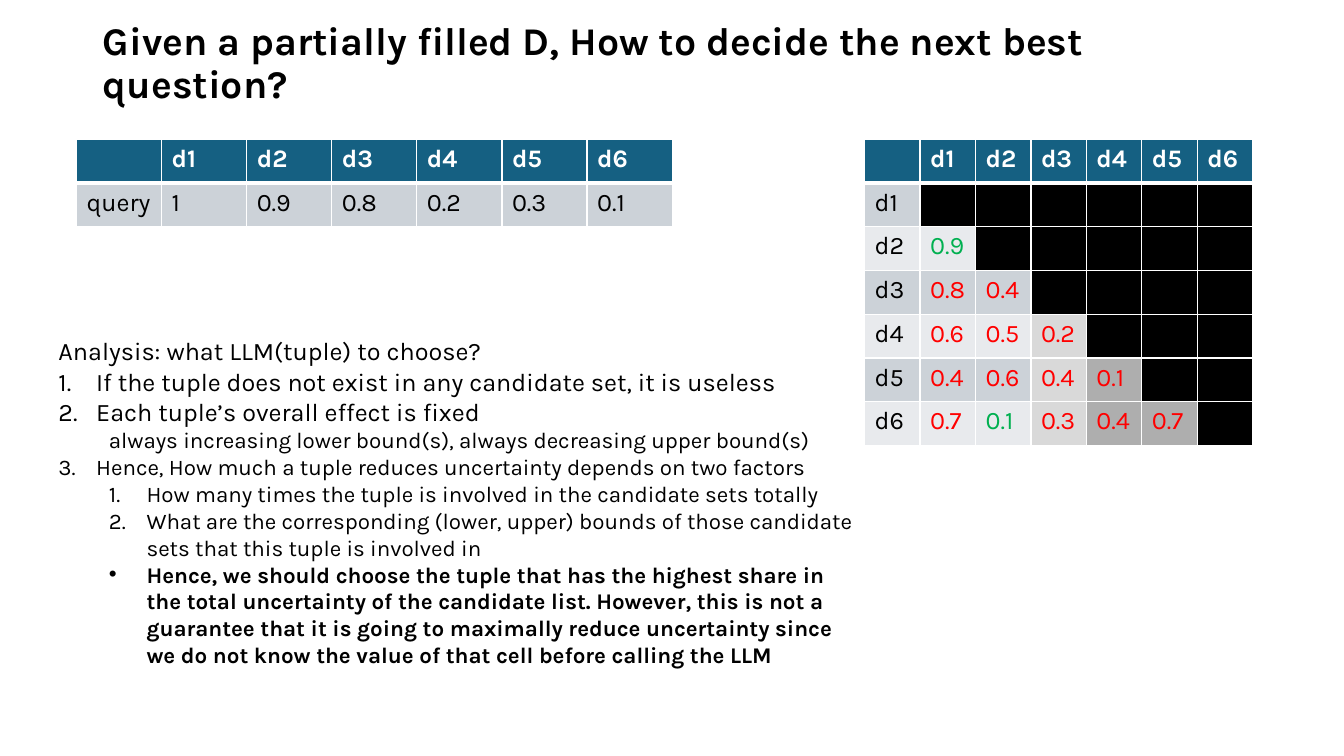
from lxml import etree
from pptx import Presentation
from pptx.dml.color import RGBColor
from pptx.enum.text import MSO_ANCHOR, MSO_AUTO_SIZE, PP_ALIGN
from pptx.oxml.ns import qn
from pptx.util import Cm, Pt

LEFT = PP_ALIGN.LEFT
TOP = MSO_ANCHOR.TOP
GROW = MSO_AUTO_SIZE.SHAPE_TO_FIT_TEXT
FIXED = MSO_AUTO_SIZE.NONE
FONT = "Karla"
COLORS = {
    "white": "FFFFFF", "black": "000000", "header": "156082",
    "band_dark": "CCD2D8", "band_light": "E8EAED",
    "grey_light": "D9D9D9", "grey_dark": "AEAEAE",
    "green": "00B050", "red": "FF0000",
}
DOCS = ["d1", "d2", "d3", "d4", "d5", "d6"]
QUERY_SCORES = ["1", "0.9", "0.8", "0.2", "0.3", "0.1"]
PAIR_SCORES = [
    [],
    ["0.9"],
    ["0.8", "0.4"],
    ["0.6", "0.5", "0.2"],
    ["0.4", "0.6", "0.4", "0.1"],
    ["0.7", "0.1", "0.3", "0.4", "0.7"],
]
KNOWN_PAIRS = {(2, 1), (6, 2)}
ANALYSIS = [
    ("Analysis: what LLM(tuple) to choose?", 0, 18, None),
    ("If the tuple does not exist in any candidate set, it is useless", 0, 18, "number"),
    ("Each tuple’s overall effect is fixed", 0, 18, "number"),
    ("always increasing lower bound(s), always decreasing upper bound(s)", 1, 16, None),
    ("Hence, How much a tuple reduces uncertainty depends on two factors", 0, 16, "number"),
    ("How many times the tuple is involved in the candidate sets totally", 1, 16, "number"),
    ("What are the corresponding (lower, upper) bounds of those candidate sets "
     "that this tuple is involved in", 1, 16, "number"),
    ("Hence, we should choose the tuple that has the highest share in the total "
     "uncertainty of the candidate list. However, this is not a guarantee that it is "
     "going to maximally reduce uncertainty since we do not know the value of that "
     "cell before calling the LLM", 1, 16, "bullet"),
]


def rgb(name):
    """Return the named colour."""
    return RGBColor.from_string(COLORS[name])


def add_run(p, text, size, color="black", bold=False):
    """Add a formatted run to a paragraph."""
    r = p.add_run()
    r.text = text
    r.font.name = FONT
    r.font.size = Pt(size)
    r.font.bold = bold
    r.font.color.rgb = rgb(color)


def place(sp, box):
    """Move a shape to a box given in centimetres."""
    sp.left, sp.top, sp.width, sp.height = (Cm(v) for v in box)


def set_borders(cell, row):
    """Draw white cell borders, thick below the header row."""
    tcPr = cell._tc.get_or_add_tcPr()
    widths = {"lnL": 1, "lnR": 1, "lnT": 3 if row == 1 else 1, "lnB": 3 if row == 0 else 1}
    for tag, width in widths.items():
        ln = etree.SubElement(tcPr, qn("a:" + tag), w=str(Pt(width)))
        fill = etree.SubElement(ln, qn("a:solidFill"))
        etree.SubElement(fill, qn("a:srgbClr"), val=COLORS["white"])


def set_marker(p, level, marker):
    """Give a paragraph its indent and its number or bullet."""
    pPr = p._p.get_or_add_pPr()
    hang = Cm(0.95) if marker else 0
    pPr.set("marL", str(Cm(1.27 * level) + hang))
    pPr.set("indent", str(-hang))
    if marker == "number":
        etree.SubElement(pPr, qn("a:buFont"), typeface=FONT)
        etree.SubElement(pPr, qn("a:buAutoNum"), type="arabicPeriod")
    elif marker == "bullet":
        etree.SubElement(pPr, qn("a:buFont"), typeface="Arial")
        etree.SubElement(pPr, qn("a:buChar"), char="•")
    else:
        etree.SubElement(pPr, qn("a:buNone"))


def add_title(sp, box):
    """Fill the title placeholder."""
    place(sp, box)
    tf = sp.text_frame
    tf.word_wrap = True
    tf.auto_size = FIXED
    tf.vertical_anchor = TOP
    p = tf.paragraphs[0]
    p.alignment = LEFT
    p.line_spacing = 0.9
    p.space_before = Pt(10)
    add_run(p, "Given a partially filled D, How to decide the next best question?", 28, bold=True)


def add_analysis(sp, box):
    """Fill the body placeholder with the numbered analysis."""
    place(sp, box)
    tf = sp.text_frame
    tf.word_wrap = True
    tf.auto_size = GROW
    tf.vertical_anchor = TOP
    for i, (text, level, size, marker) in enumerate(ANALYSIS):
        p = tf.add_paragraph() if i else tf.paragraphs[0]
        p.level = level
        p.alignment = LEFT
        p.line_spacing = 1.0
        p.space_before = p.space_after = Pt(0)
        set_marker(p, level, marker)
        add_run(p, text, size, bold=marker == "bullet")


def query_style(row, col):
    """Return fill and text colour of a query table cell."""
    return "band_dark", "black"


def pair_style(row, col):
    """Return fill and text colour of a pair matrix cell."""
    if col >= row:
        return "black", "white"
    band = "band_dark" if row % 2 else "band_light"
    fill = band if col < 3 else "grey_light" if col == 3 else "grey_dark"
    if col == 0:
        return fill, "black"
    return fill, "green" if (row, col) in KNOWN_PAIRS else "red"


def add_score_table(slide, box, rows, style):
    """Add a table of scores under a header row of documents."""
    data = [[""] + DOCS] + rows
    left, top, width, height = (Cm(v) for v in box)
    table = slide.shapes.add_table(len(data), len(data[0]), left, top, width, height).table
    for r, values in enumerate(data):
        for c in range(len(data[0])):
            cell = table.cell(r, c)
            fill, color = style(r, c) if r else ("header", "white")
            set_borders(cell, r)
            cell.fill.solid()
            cell.fill.fore_color.rgb = rgb(fill)
            if c < len(values) and values[c]:
                add_run(cell.text_frame.paragraphs[0], values[c], 18, color, r == 0)


def main():
    """Build the slide and save it."""
    prs = Presentation()
    prs.slide_width, prs.slide_height = Cm(33.87), Cm(19.05)
    slide = prs.slides.add_slide(prs.slide_layouts[1])
    add_title(slide.shapes.title, (2.34, 0.43, 29.21, 12.09))
    add_analysis(slide.placeholders[1], (1.22, 8.33, 20.57, 9.32))
    add_score_table(slide, (1.93, 3.51, 15.01, 2.2), [["query"] + QUERY_SCORES], query_style)
    pairs = [[doc] + scores for doc, scores in zip(DOCS, PAIR_SCORES)]
    add_score_table(slide, (21.79, 3.51, 9.78, 7.72), pairs, pair_style)
    prs.save("out.pptx")


if __name__ == "__main__":
    main()
